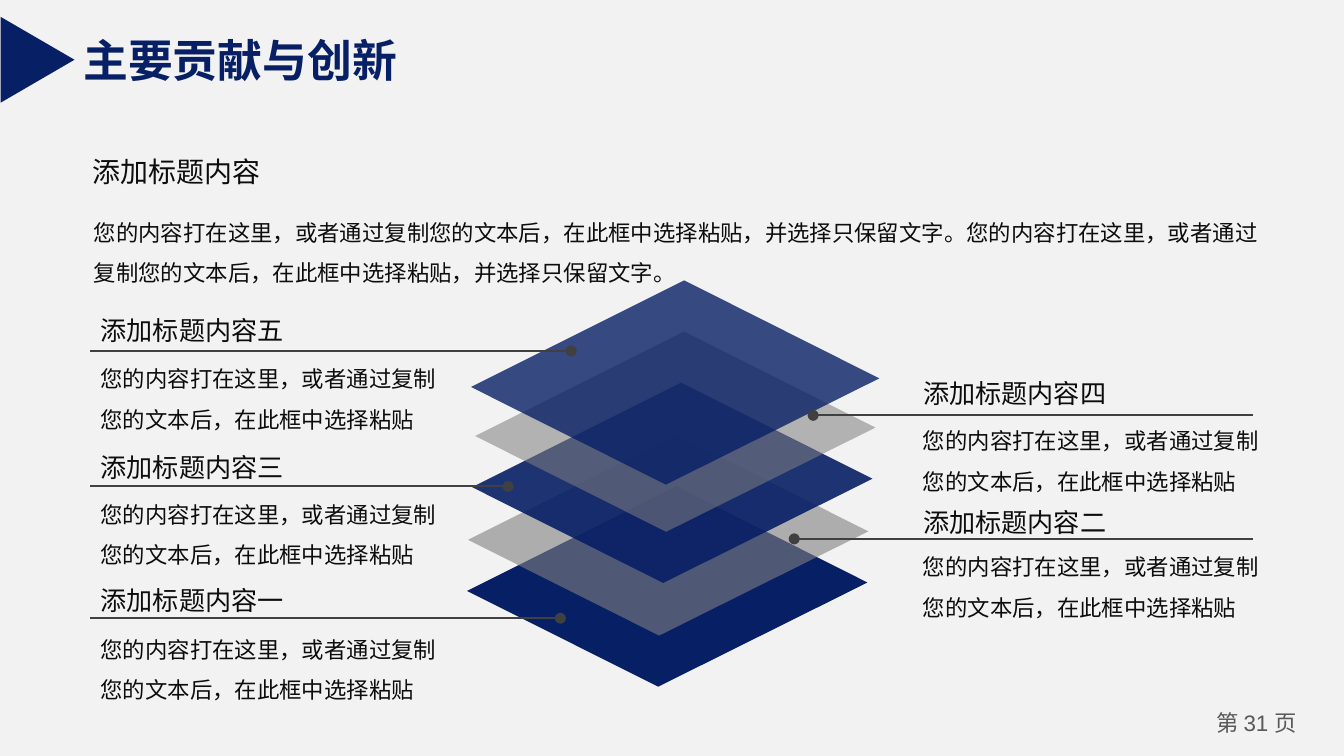
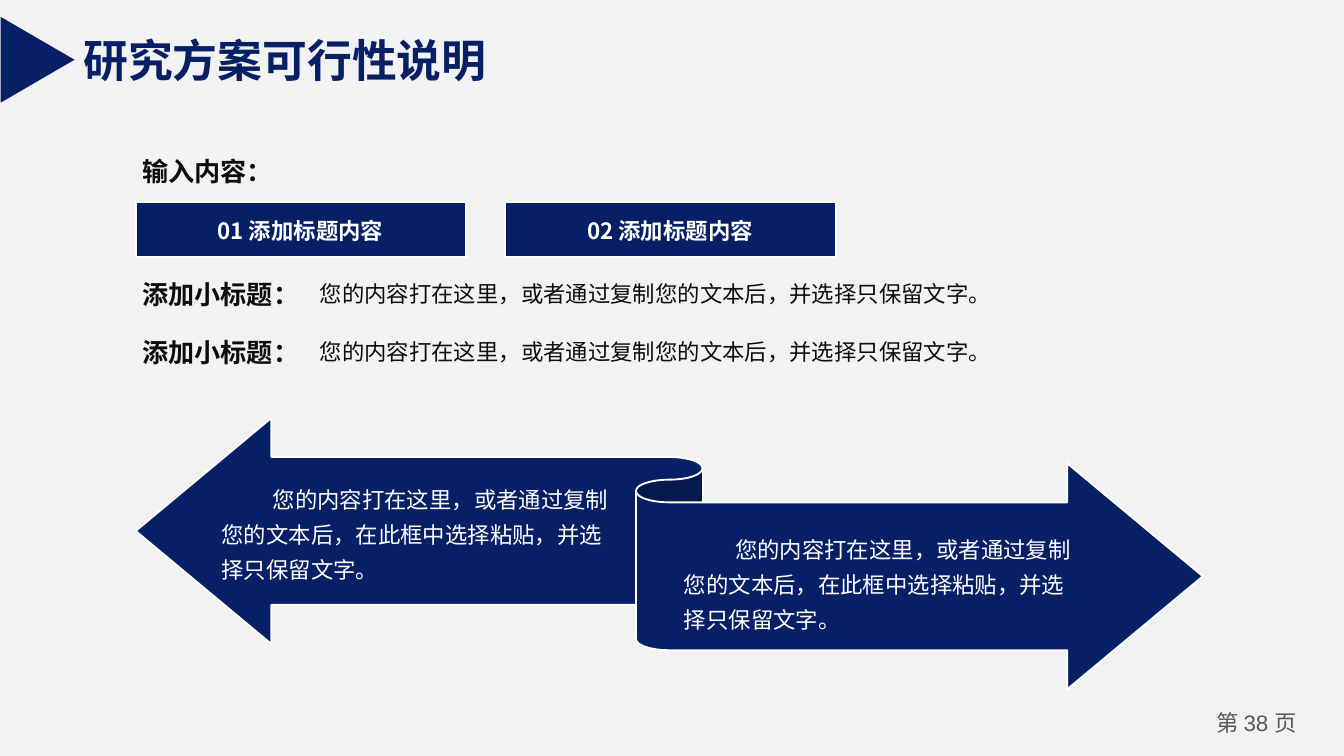
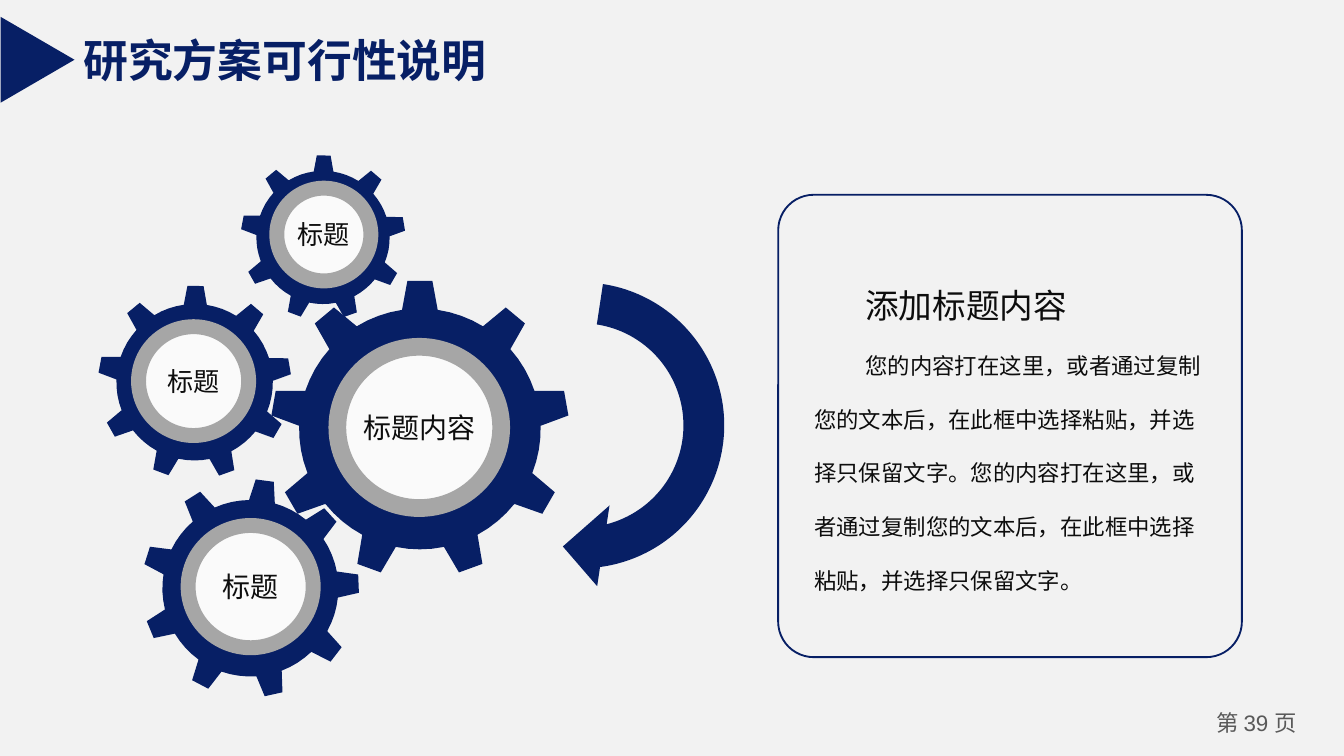
import math

import lxml.etree
import pptx
import pptx.dml.color
import pptx.enum.shapes
import pptx.enum.text
import pptx.oxml.ns
import pptx.util

COLORS = {"navy": "071F65", "gray": "7F7F7F", "rule": "404040", "ring": "A6A6A6",
          "hub": "FAFAFA", "ink": "0D0D0D", "muted": "595959", "white": "FFFFFF",
          "paper": "F2F2F2"}
CJK, LATIN = "Noto Sans CJK SC", "Arial"
COPY = "您的内容打在这里，或者通过复制您的文本后，在此框中选择粘贴"
SENTENCE = COPY + "，并选择只保留文字。"
SHORT = "您的内容打在这里，或者通过复制您的文本后，并选择只保留文字。"

Pt = pptx.util.Pt
qn = pptx.oxml.ns.qn
SHAPE = pptx.enum.shapes.MSO_SHAPE
ALIGN = pptx.enum.text.PP_ALIGN
ANCHOR = pptx.enum.text.MSO_ANCHOR


def rgb(name):
    return pptx.dml.color.RGBColor.from_string(COLORS[name])


class Deck:
    def __init__(self):
        self.prs = pptx.Presentation()
        self.prs.slide_width, self.prs.slide_height = Pt(720), Pt(405)
        fill = self.prs.slide_master.background.fill
        fill.solid()
        fill.fore_color.rgb = rgb("paper")
        self.s = None

    def slide(self, title, width, page, font=CJK):
        self.s = self.prs.slides.add_slide(self.prs.slide_layouts[5])
        sp = self.s.shapes.title
        sp.left, sp.top, sp.width, sp.height = map(Pt, (37.4, 13.7, width, 36))
        self.put_text(sp, [title], size=24, color="navy", bold=True, font=font, wrap=False)
        self.shape(SHAPE.ISOSCELES_TRIANGLE, (-2.9, 12.2, 46, 39.6), "navy", rotation=90)
        self.text((640.8, 377.3, 64.8, 21.6), [[("第 ", CJK), (f"{page} ", LATIN), ("页", CJK)]],
                  color="muted", align=ALIGN.CENTER, margins=(5, 2.9))

    def put_text(self, sp, paras, size=12, color="ink", bold=False, font=CJK, align=ALIGN.LEFT,
                 anchor=ANCHOR.TOP, spacing=1, indent=0, wrap=True, margins=(7.2, 3.6)):
        tf = sp.text_frame
        across, down = map(Pt, margins)
        frame = {"auto_size": pptx.enum.text.MSO_AUTO_SIZE.NONE, "word_wrap": wrap,
                 "vertical_anchor": anchor, "margin_left": across, "margin_right": across,
                 "margin_top": down, "margin_bottom": down}
        for key, value in frame.items():
            setattr(tf, key, value)
        for i, para in enumerate(paras):
            p = tf.add_paragraph() if i else tf.paragraphs[0]
            p.alignment, p.line_spacing, p.space_before = align, spacing, Pt(0)
            if indent:
                p._p.get_or_add_pPr().set("marL", "0")
                p._p.get_or_add_pPr().set("indent", str(Pt(indent)))
            runs = [(para, font)] if isinstance(para, str) else para
            for words, face, *own_size in runs:
                r = p.add_run()
                r.text = words
                fmt = {"size": Pt(own_size[0] if own_size else size), "bold": bold, "name": face}
                for key, value in fmt.items():
                    setattr(r.font, key, value)
                r.font.color.rgb = rgb(color)
                ea = lxml.etree.SubElement(r._r.get_or_add_rPr(), qn("a:ea"))
                ea.set("typeface", CJK)

    def text(self, box, paras, **fmt):
        sp = self.s.shapes.add_textbox(*map(Pt, box))
        self.put_text(sp, paras, **fmt)

    def paint(self, sp, fill, line=None, weight=1, opacity=100, rotation=0):
        sp.shadow.inherit = False
        sp.rotation = rotation
        if fill:
            sp.fill.solid()
            sp.fill.fore_color.rgb = rgb(fill)
        else:
            sp.fill.background()
        if opacity < 100:
            clr = sp._element.spPr.find(".//" + qn("a:srgbClr"))
            lxml.etree.SubElement(clr, qn("a:alpha")).set("val", str(opacity * 1000))
        if line:
            sp.line.color.rgb = rgb(line)
            sp.line.width = Pt(weight)
        else:
            sp.line.fill.background()

    def shape(self, kind, box, fill, adjustments=(), **style):
        sp = self.s.shapes.add_shape(kind, *map(Pt, box))
        for i, value in enumerate(adjustments):
            sp.adjustments[i] = value
        self.paint(sp, fill, **style)
        return sp

    def outline(self, points, fill, **style):
        first, *rest = [(Pt(x), Pt(y)) for x, y in points]
        builder = self.s.shapes.build_freeform(*first)
        builder.add_line_segments(rest, close=True)
        sp = builder.convert_to_shape()
        self.paint(sp, fill, **style)
        return sp

    def pointer(self, dot_x, end_x, y):
        kind = pptx.enum.shapes.MSO_CONNECTOR.STRAIGHT
        sp = self.s.shapes.add_connector(kind, Pt(dot_x), Pt(y), Pt(end_x), Pt(y))
        sp.line.color.rgb = rgb("rule")
        sp.line.width = Pt(1)
        lxml.etree.SubElement(sp.line._get_or_add_ln(), qn("a:headEnd")).set("type", "oval")
        lxml.etree.SubElement(sp._element.spPr, qn("a:effectLst"))

    def layer(self, x, y, fill, opacity, scale=1):
        corners = [(0, 0), (112, -56), (214.5, -4.5), (102.4, 51.3)]
        self.outline([(x + dx * scale, y + dy * scale) for dx, dy in corners], fill,
                     opacity=opacity)

    def gear(self, box, rotation, hub, weight, label, size):
        profile = [(-8.5, 81), (-4.8, 100), (4.8, 100), (8.5, 81),
                   (14.25, 81), (20, 81), (25.75, 81)]
        points = []
        for tooth in range(0, 360, 40):
            for turn, radius in profile:
                a = math.radians(tooth + turn)
                points.append((200 + radius * math.sin(a), 200 - radius * math.cos(a)))
        sp = self.outline(points, "navy", rotation=rotation)
        sp.left, sp.top, sp.width, sp.height = map(Pt, box)
        sp = self.shape(SHAPE.OVAL, hub, "hub", line="ring", weight=weight)
        self.put_text(sp, [label], size=size, align=ALIGN.CENTER, anchor=ANCHOR.MIDDLE,
                      wrap=False, margins=(0, 0))


def contributions(deck):
    deck.slide("主要贡献与创新", 184.3, 31)
    for layer in [(250.2, 316.6, "navy", 100), (250.7, 289.2, "gray", 60),
                  (252.9, 261, "navy", 90), (254.5, 233.6, "gray", 55),
                  (252.3, 207.3, "navy", 80, 1.02)]:
        deck.layer(*layer)
    left, right = (46.8, 48.2), (487.4, 671)
    for mark, (x, end), dot, title_y, line_y, body_y in [
            ("五", left, 306, 165, 188, 185), ("四", right, 435.6, 198.7, 222.5, 218.2),
            ("三", left, 272.2, 238.3, 260.6, 257.8), ("二", right, 425.5, 267.8, 288.7, 285.8),
            ("一", left, 300.2, 309.6, 331.2, 329.8)]:
        deck.pointer(dot, end, line_y)
        deck.text((x, body_y, 196, 49), [COPY], spacing=1.5)
        deck.text((x, title_y, 132, 24.5), ["添加标题内容" + mark], size=14)
    deck.text((42.5, 79.2, 105, 25.2), ["添加标题内容"], size=15, wrap=False)
    deck.text((43.2, 106.6, 639.4, 49), [SENTENCE * 2], spacing=1.5)


def feasibility_arrows(deck):
    deck.slide("研究方案可行性说明", 241.2, 38, LATIN)
    heading = {"size": 14, "bold": True, "anchor": ANCHOR.MIDDLE, "wrap": False}
    deck.text((69.1, 79.2, 85, 24.5), ["输入内容："], **heading)
    for number, x in [("01", 72.7), ("02", 270.7)]:
        deck.shape(SHAPE.RECTANGLE, (x, 108, 177.1, 29.5), "navy", line="white")
        deck.text((x, 113, 176.4, 21.6), [number + " 添加标题内容"], color="white", bold=True,
                  align=ALIGN.CENTER)
    for y, width in [(145.4, 530.6), (176.6, 439.2)]:
        deck.text((69.1, y, 99.4, 24.5), ["添加小标题："], **heading)
        deck.text((164.2, y + 1, width, 21.6), [SHORT])
    deck.shape(SHAPE.LEFT_RIGHT_RIBBON, (72.7, 223.9, 571.7, 145.4), "navy",
               (0.545, 0.5, 0.167), line="white")
    for x, y in [(111.6, 252.7), (359.3, 279.4)]:
        deck.text((x, y, 229, 64), [SENTENCE], color="white", spacing=1.3, indent=27.4)


def feasibility_gears(deck):
    deck.slide("研究方案可行性说明", 232.6, 39)
    for gear in [
            ((145.4, 150.5, 159.1, 156.2), 0, (180.7, 185.8, 87.8, 86.4), 9.5, "标题内容", 15),
            ((76.3, 257, 115.9, 114.5), 7.6, (100.8, 281.5, 67, 65.5), 8, "标题", 15),
            ((53.3, 153.4, 103, 101.5), 40.5, (74.2, 175, 59, 58.3), 8, "标题", 14),
            ((129.6, 83.5, 87.8, 86.4), 40.5, (148.3, 100.8, 50.4, 49.7), 8, "标题", 14)]:
        deck.gear(*gear)
    deck.shape(SHAPE.CIRCULAR_ARROW, (223.9, 140.4, 175, 175), "navy", rotation=98.7)
    deck.shape(SHAPE.ROUNDED_RECTANGLE, (416.9, 104.4, 248.4, 247.7), None, (0.077,),
               line="navy")
    deck.text((429.1, 127.4, 224.6, 192.2), [[("添加标题内容", CJK, 18)], SENTENCE * 2],
              spacing=2, indent=27.4)


def main():
    deck = Deck()
    contributions(deck)
    feasibility_arrows(deck)
    feasibility_gears(deck)
    deck.prs.save("out.pptx")


if __name__ == "__main__":
    main()
